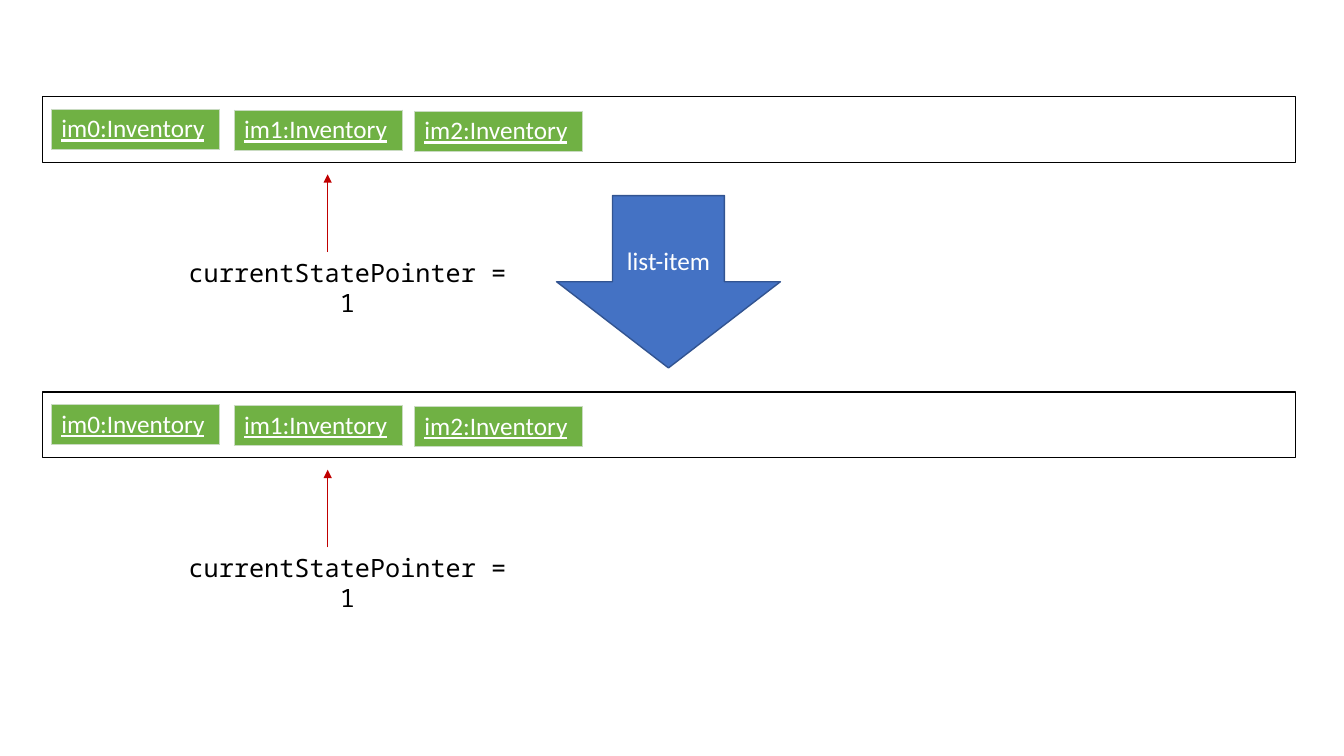
"""Build the slide showing the inventory state list before and after list-item."""
from lxml.etree import SubElement
from pptx import Presentation
from pptx.dml.color import RGBColor
from pptx.enum.shapes import MSO_CONNECTOR, MSO_SHAPE
from pptx.enum.text import MSO_ANCHOR, PP_ALIGN
from pptx.oxml.ns import qn
from pptx.util import Inches, Pt


def color(hex_string):
    """Return the colour for a hex string."""
    return RGBColor.from_string(hex_string)


def add_text(frame, text, font_name, hex_string, alignment, underline=None):
    """Write one 18 point run into the first paragraph."""
    para = frame.paragraphs[0]
    para.alignment = alignment
    span = para.add_run()
    span.text = text
    span.font.name = font_name
    span.font.size = Pt(18)
    span.font.underline = underline
    span.font.color.rgb = color(hex_string)


deck = Presentation()
deck.slide_width = Inches(13.33)
deck.slide_height = Inches(7.5)
page = deck.slides.add_slide(deck.slide_layouts[6])

command = page.shapes.add_shape(
    MSO_SHAPE.DOWN_ARROW, Inches(5.52), Inches(1.94), Inches(2.22), Inches(1.71))
command.shadow.inherit = False
command.fill.solid()
command.fill.fore_color.rgb = color("4472C4")
command.line.color.rgb = color("325491")
command.line.width = Pt(1)
command.text_frame.vertical_anchor = MSO_ANCHOR.MIDDLE
add_text(command.text_frame, "list-item", "Calibri", "FFFFFF", PP_ALIGN.CENTER)

for top in (0.96, 3.89):
    label = page.shapes.add_textbox(
        Inches(1.69), Inches(top + 1.54), Inches(3.51), Inches(0.4))
    label.text_frame.word_wrap = True
    add_text(label.text_frame, "currentStatePointer = 1", "Noto Sans Mono",
             "000000", PP_ALIGN.CENTER)

    state_list = page.shapes.add_shape(
        MSO_SHAPE.RECTANGLE, Inches(0.42), Inches(top), Inches(12.43), Inches(0.65))
    state_list.shadow.inherit = False
    state_list.fill.background()
    state_list.line.color.rgb = color("000000")
    state_list.line.width = Pt(1)

    pointer = page.shapes.add_connector(
        MSO_CONNECTOR.STRAIGHT, Inches(3.25), Inches(top + 1.54),
        Inches(3.25), Inches(top + 0.77))
    pointer.line.color.rgb = color("C00000")
    pointer.line.width = Pt(0.5)
    SubElement(pointer.line._get_or_add_ln(), qn("a:tailEnd"), type="triangle")
    SubElement(pointer._element.spPr, qn("a:effectLst"))

    for index, left in enumerate((0.51, 2.32, 4.11)):
        table = page.shapes.add_table(
            1, 1, Inches(left), Inches(top + 0.12 + 0.01 * index),
            Inches(1.67), Inches(0.4)).table
        table.first_row = False
        table.horz_banding = False
        cell = table.cell(0, 0)
        properties = cell._tc.get_or_add_tcPr()
        for side in ("a:lnL", "a:lnR", "a:lnT", "a:lnB"):
            border = SubElement(properties, qn(side), w=str(Pt(0.5)))
            border_fill = SubElement(border, qn("a:solidFill"))
            SubElement(border_fill, qn("a:srgbClr"), val="C9DBC1")
        cell.fill.solid()
        cell.fill.fore_color.rgb = color("70B144")
        add_text(cell.text_frame, f"im{index}:Inventory", "Calibri", "FFFFFF",
                 PP_ALIGN.LEFT, underline=True)

deck.save("out.pptx")
